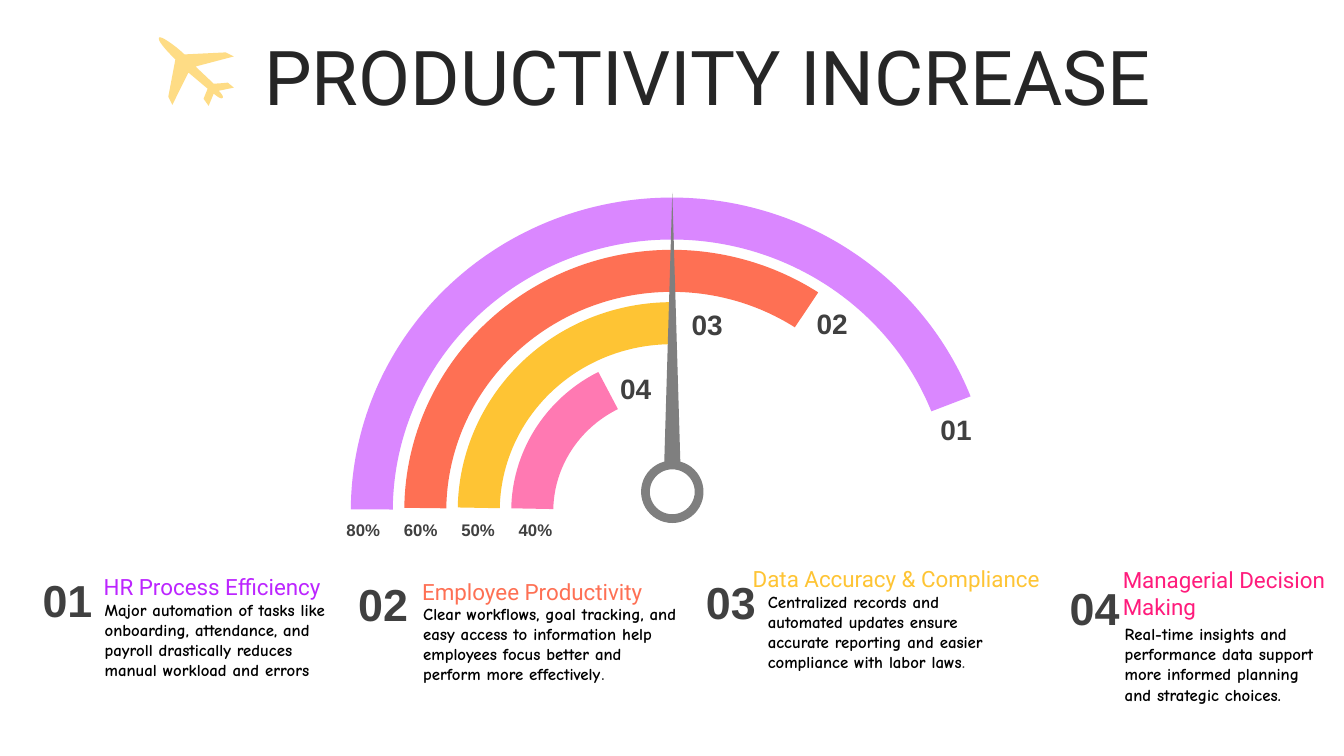
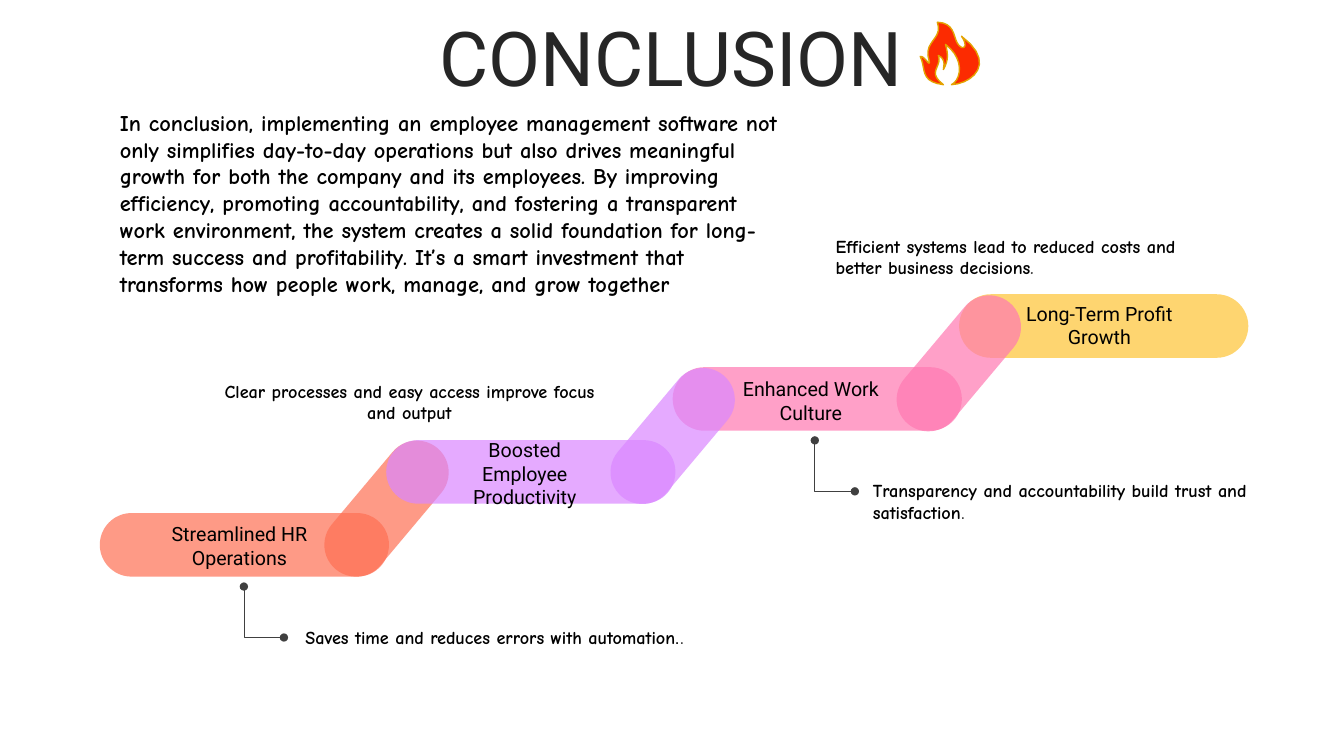
import pptx
import pptx.dml.color
import pptx.enum.dml
import pptx.enum.shapes
import pptx.enum.text
import pptx.oxml
import pptx.oxml.ns
import pptx.util
import lxml.etree

Pt = pptx.util.Pt
RGBColor = pptx.dml.color.RGBColor
Shape = pptx.enum.shapes.MSO_SHAPE
Align = pptx.enum.text.PP_ALIGN
Anchor = pptx.enum.text.MSO_ANCHOR
AutoSize = pptx.enum.text.MSO_AUTO_SIZE
qn = pptx.oxml.ns.qn

BLACK = RGBColor(0x00, 0x00, 0x00)
WHITE = RGBColor(0xFF, 0xFF, 0xFF)
INK = RGBColor(0x26, 0x26, 0x26)
DARK = RGBColor(0x40, 0x40, 0x40)
GRAY = RGBColor(0x7F, 0x7F, 0x7F)
PURPLE = RGBColor(0xDA, 0x87, 0xFF)
ORANGE = RGBColor(0xFE, 0x70, 0x54)
YELLOW = RGBColor(0xFE, 0xC4, 0x34)
PINK = RGBColor(0xFF, 0x79, 0xB2)
VIOLET = RGBColor(0xBC, 0x25, 0xFF)
MAGENTA = RGBColor(0xFF, 0x1B, 0x7C)
SAND = RGBColor(0xFE, 0xDC, 0x85)
FLAME = RGBColor(0xFC, 0x2B, 0x01)
GOLD = RGBColor(0xE4, 0xA3, 0x01)


def style(size, name, color, bold=False):
    return {"size": Pt(size), "name": name, "color": color, "bold": bold}


TITLE = style(54, "Roboto", INK)
PERCENT = style(12, "Arial", DARK, True)
GAUGE_NUMBER = style(20, "Arial", DARK, True)
BIG_NUMBER = style(32, "Arial", DARK, True)
DETAIL = style(12, "Comic Neue", BLACK, True)
CALLOUT = style(13, "Comic Neue", BLACK, True)
SUMMARY = style(16, "Comic Neue", BLACK, True)
STEP = style(14, "Roboto", BLACK)
PLAIN_STOP = style(12, "Arial", DARK)
BLACK_STOP = style(12, "Arial", BLACK)

STEP_INSETS = {"margin_left": Pt(0), "margin_right": Pt(7.2),
               "margin_top": Pt(3.6), "margin_bottom": Pt(3.6)}
ICON_UNIT = 0.72
CURVE_STEPS = 10

PLANE = [(232, 87), (217, 90), (219, 92, 222, 96, 221, 97),
         (219, 99, 215, 95, 212, 93), (207, 105), (202, 98), (206, 88),
         (187, 72), (171, 104), (167, 96), (174, 59),
         (168, 53, 155, 40, 158, 37), (161, 36, 176, 47, 183, 54),
         (224, 52), (232, 56), (194, 66), (212, 83),
         (216, 83, 226, 82, 226, 82)]
FIRE = [(936, 84), (912, 81, 919, 68, 913, 56), (917, 55, 923, 67, 922, 61),
        (915, 40, 936, 40, 930, 22), (951, 23, 944, 42, 954, 47),
        (957, 48, 960, 45, 954, 36), (989, 62, 965, 83, 944, 84),
        (954, 79, 957, 58, 938, 44), (942, 57, 939, 63, 936, 69),
        (936, 66, 939, 59, 931, 55), (935, 67, 919, 71, 936, 84)]


def points(*lengths):
    return [Pt(length) for length in lengths]


def set_values(target, values):
    for name, value in values.items():
        if name == "color":
            target.color.rgb = value
        else:
            setattr(target, name, value)


def write(paragraph, runs):
    for text, values in runs:
        run = paragraph.add_run()
        run.text = text
        set_values(run.font, values)


def add_title(slide, text, left, top):
    title = slide.shapes.title
    set_values(title, dict(zip(("left", "top", "width", "height"),
                               points(left, top, 911.5, 56.9))))
    set_values(title.text_frame, {"vertical_anchor": Anchor.MIDDLE, "word_wrap": True,
                                  "auto_size": AutoSize.NONE})
    paragraph = title.text_frame.paragraphs[0]
    set_values(paragraph, {"alignment": Align.CENTER, "line_spacing": 0.9,
                           "space_before": Pt(0)})
    write(paragraph, [(text, TITLE)])


def add_text(slide, box, runs, align=Align.LEFT, anchor=Anchor.TOP, insets=None):
    frame = slide.shapes.add_textbox(*points(*box)).text_frame
    set_values(frame, {"word_wrap": True, "vertical_anchor": anchor,
                       "auto_size": AutoSize.SHAPE_TO_FIT_TEXT, **(insets or {})})
    frame.paragraphs[0].alignment = align
    write(frame.paragraphs[0], runs)


def paint(shape, color, opacity=100):
    shape.shadow.inherit = False
    shape.fill.solid()
    shape.fill.fore_color.rgb = color
    shape.line.fill.background()
    if opacity < 100:
        swatch = shape.fill._xPr.find(".//" + qn("a:srgbClr"))
        lxml.etree.SubElement(swatch, qn("a:alpha")).set("val", str(opacity * 1000))


def add_shape(slide, kind, box, color, adjustments=(), opacity=100, rotation=0):
    shape = slide.shapes.add_shape(kind, *points(*box))
    for index, value in enumerate(adjustments):
        shape.adjustments[index] = value
    shape.rotation = rotation
    paint(shape, color, opacity)


def add_icon(slide, outline, color):
    vertices = [outline[0]]
    for segment in outline[1:]:
        if len(segment) == 2:
            vertices.append(segment)
            continue
        corners = [vertices[-1], segment[:2], segment[2:4], segment[4:]]
        for step in range(1, CURVE_STEPS + 1):
            t = step / CURVE_STEPS
            weights = ((1 - t) ** 3, 3 * t * (1 - t) ** 2, 3 * t * t * (1 - t), t ** 3)
            vertices.append(tuple(sum(weight * corner[axis] for weight, corner
                                      in zip(weights, corners)) for axis in (0, 1)))
    scaled = [points(x * ICON_UNIT, y * ICON_UNIT) for x, y in vertices]
    builder = slide.shapes.build_freeform(*scaled[0])
    builder.add_line_segments(scaled[1:], close=True)
    icon = builder.convert_to_shape()
    paint(icon, color)
    return icon


def add_elbow(slide, left, top):
    elbow = slide.shapes.add_connector(pptx.enum.shapes.MSO_CONNECTOR.ELBOW,
                                       *points(left, top, left + 28.6, top + 36.4))
    elbow.line.color.rgb = DARK
    elbow.line.width = Pt(0.5)
    properties = elbow._element.spPr
    guides = properties.find(".//" + qn("a:avLst"))
    guide = lxml.etree.SubElement(guides, qn("a:gd"))
    guide.set("name", "adj1")
    guide.set("fmla", "val 0")
    for end in ("a:headEnd", "a:tailEnd"):
        lxml.etree.SubElement(elbow.line._ln, qn(end)).set("type", "oval")
    lxml.etree.SubElement(properties, qn("a:effectLst"))


def add_gauge(slide):
    arcs = [(PURPLE, 180.3, 339), (ORANGE, 180.7, 303.8),
            (YELLOW, 181, 269.9), (PINK, 181.1, 242.2)]
    for index, (color, start, end) in enumerate(arcs):
        height = 447.8 - 74.6 * index
        box = (250.6 + 38.2 * index, 141.1 + 37.4 * index, 458.6 - 76.4 * index, height)
        add_shape(slide, Shape.BLOCK_ARC, box, color, (start * 0.6, end * 0.6, 30 / height))
    add_shape(slide, Shape.DONUT, (444.2, 315.4, 72, 72), WHITE, [0.08])
    add_shape(slide, Shape.DONUT, (457.9, 329, 44.6, 44.6), GRAY, [0.14])
    for index, percent in enumerate(("80%", "60%", "50%", "40%")):
        add_text(slide, (231.8 + 41 * index, 367.9, 55.4, 21.6), [(percent, PERCENT)],
                 Align.CENTER, Anchor.MIDDLE)
    corners = [(663.1, 290.9), (574.6, 215.3), (485.3, 216), (434.2, 262.1)]
    for number, corner in enumerate(corners, 1):
        add_text(slide, (*corner, 39.6, 31.7), [(f"{number:02}", GAUGE_NUMBER)], Align.CENTER)
    add_shape(slide, Shape.ISOSCELES_TRIANGLE, (474.5, 137.5, 11.5, 193), GRAY)


def add_benefits(slide):
    benefits = [
        ("HR Process Efficiency", VIOLET, (18, 405.4), (67, 405.4, 180, 26.6),
         (67.7, 424.8, 174.2, 79.9),
         [("Major automation of tasks like onboarding, attendance, and payroll "
           "drastically reduces manual workload and errors", DETAIL)]),
        ("Employee Productivity", ORANGE, (243.4, 408.2), (294.5, 409, 193.7, 26.6),
         (295.2, 427.7, 200.2, 65.5),
         [("Clear workflows, goal tracking, and easy access to information help "
           "employees focus better and perform more effectively", DETAIL),
          (".", PLAIN_STOP)]),
        ("Data Accuracy & Compliance", YELLOW, (491.8, 406.8), (530.6, 400.3, 252, 26.6),
         (541.4, 419, 180, 79.9),
         [("Centralized records and automated updates ensure accurate reporting and "
           "easier compliance with labor laws", DETAIL),
          (".", {**DETAIL, "color": DARK})]),
        ("Managerial Decision Making", MAGENTA, (751.7, 411.1), (794.9, 400.3, 180.7, 46.1),
         (796.3, 442.1, 159.8, 79.9),
         [("Real-time insights and performance data support more informed planning "
           "and strategic choices.", DETAIL)]),
    ]
    for number, (heading, color, corner, heading_box, detail_box, detail) in enumerate(benefits, 1):
        add_text(slide, heading_box, [(heading, style(16, "Roboto", color))],
                 anchor=Anchor.MIDDLE)
        add_text(slide, detail_box, detail)
        add_text(slide, (*corner, 60.5, 46.1), [(f"{number:02}", BIG_NUMBER)], Align.CENTER)


def add_bar(slide, index, color):
    add_shape(slide, Shape.ROUNDED_RECTANGLE,
              (71.3 + 204.6 * index, 366.5 - 52.1 * index, 206.6, 45.4), color, [0.5], 70)


def add_link(slide, index, color):
    add_shape(slide, Shape.ROUNDED_RECTANGLE,
              (219.6 + 204.4 * index, 340.6 - 51.9 * index, 113, 45.4), color, [0.5], 70, 310)


def add_staircase(slide):
    colors = [ORANGE, PURPLE, PINK, YELLOW]
    add_bar(slide, 0, colors[0])
    add_link(slide, 0, colors[0])
    for index in (1, 2, 3):
        add_bar(slide, index, colors[index])
    for index in (1, 2):
        add_link(slide, index, colors[index])
    steps = [("Streamlined HR Operations", (115.2, 369.4, 118.8, 41)),
             ("Boosted Employee Productivity", (319, 308.9, 118.8, 58.3)),
             ("Enhanced Work Culture", (523.4, 265.7, 118.8, 41)),
             ("Long-Term Profit Growth", (729.4, 211.7, 118.8, 41))]
    for text, box in steps:
        add_text(slide, box, [(text, STEP)], Align.CENTER, Anchor.MIDDLE, STEP_INSETS)
    callouts = [
        ((218.2, 443.5, 339.8, 23), Align.LEFT,
         [("Saves time and reduces errors with automation", CALLOUT),
          (".", BLACK_STOP), (".", PLAIN_STOP)]),
        ((153.4, 267.8, 285.1, 38.9), Align.CENTER,
         [("Clear processes and easy access improve focus and output", CALLOUT)]),
        ((623.5, 339.1, 321.1, 38.9), Align.LEFT,
         [("Transparency and accountability build trust and satisfaction", CALLOUT),
          (".", PLAIN_STOP)]),
        ((596.9, 164.2, 285.1, 38.9), Align.LEFT,
         [("Efficient systems lead to reduced costs and better business decisions", CALLOUT),
          (".", {**CALLOUT, "color": DARK})]),
    ]
    for box, align, runs in callouts:
        add_text(slide, box, runs, align, insets=STEP_INSETS)
    for corner in ((174.2, 419), (582, 314.6)):
        add_elbow(slide, *corner)


def main():
    presentation = pptx.Presentation()
    set_values(presentation, {"slide_width": Pt(960), "slide_height": Pt(540)})
    layout = presentation.slide_layouts[5]

    productivity = presentation.slides.add_slide(layout)
    add_title(productivity, "PRODUCTIVITY INCREASE", 49.7, 29.5)
    add_gauge(productivity)
    add_benefits(productivity)
    add_icon(productivity, PLANE, SAND)

    conclusion = presentation.slides.add_slide(layout)
    add_title(conclusion, "CONCLUSION", 23.8, 15.8)
    add_staircase(conclusion)
    fire = add_icon(conclusion, FIRE, FLAME)
    fire.line.color.rgb = GOLD
    fire.line.width = Pt(1)
    add_text(conclusion, (78.5, 74.2, 492.5, 181.4), [(
        "In conclusion, implementing an employee management software not only simplifies "
        "day-to-day operations but also drives meaningful growth for both the company and "
        "its employees. By improving efficiency, promoting accountability, and fostering a "
        "transparent work environment, the system creates a solid foundation for long-term "
        "success and profitability. It’s a smart investment that transforms how people "
        "work, manage, and grow together", SUMMARY)])

    presentation.save("out.pptx")


if __name__ == "__main__":
    main()
